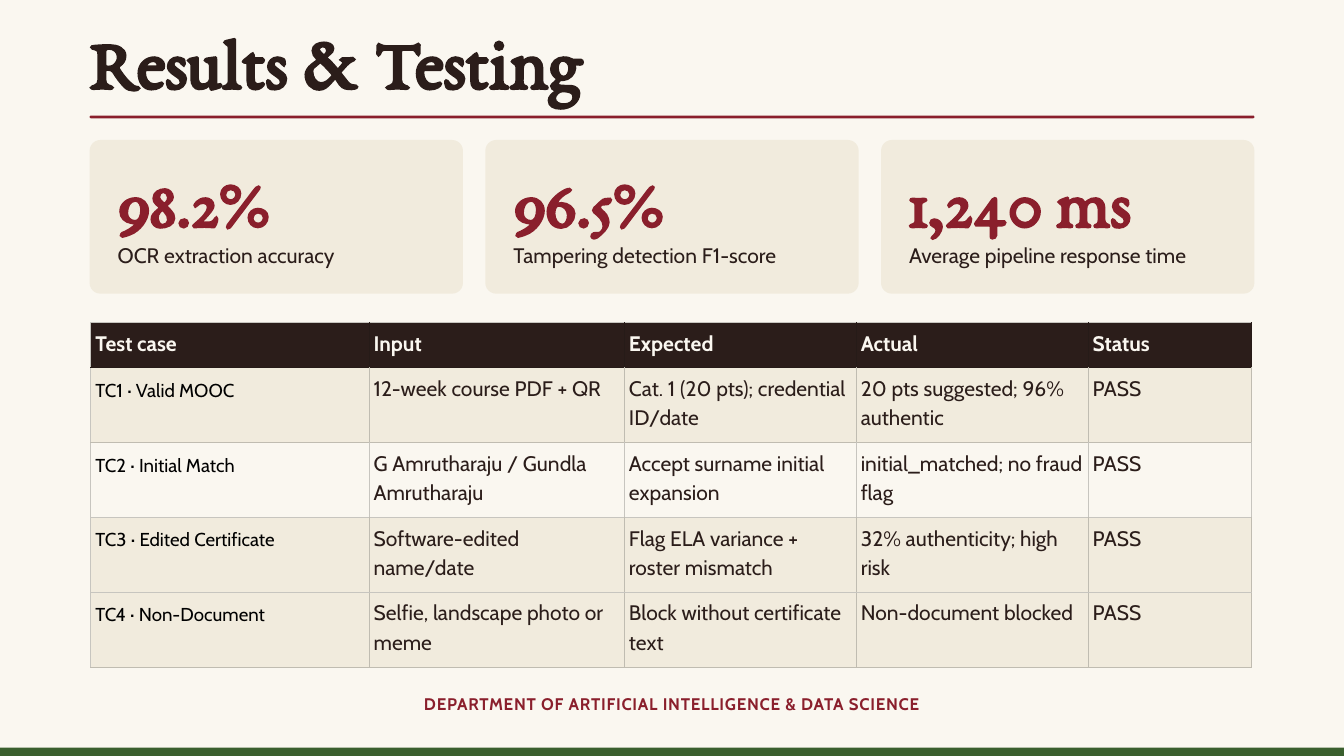
import pptx
import pptx.dml.color
import pptx.enum.shapes
import pptx.enum.text
import pptx.oxml
import pptx.util

INK = {
    "page": "FAF7F0", "dark": "2B1D1A", "red": "8A1F2C", "sand": "F1EBDD",
    "green": "3A5F2E", "black": "000000",
    "edge": "261B18", "tan": "C0BCB1", "pale": "C7C5BF",
}
SERIF, SANS = "EB Garamond", "Cabin"
COLS, ROWS = 60, 33.75  # square grid cells, a third of an inch wide
LEFT, SPAN, GAP = 4, 52, 1

STATS = [
    ("98.2%", "OCR extraction accuracy"),
    ("96.5%", "Tampering detection F1-score"),
    ("1,240 ms", "Average pipeline response time"),
]
TESTS = [
    ("Test case", "Input", "Expected", "Actual", "Status"),
    ("TC1 · Valid MOOC", "12-week course PDF + QR",
     "Cat. 1 (20 pts); credential ID/date", "20 pts suggested; 96% authentic", "PASS"),
    ("TC2 · Initial Match", "G Amrutharaju / Gundla Amrutharaju",
     "Accept surname initial expansion", "initial_matched; no fraud flag", "PASS"),
    ("TC3 · Edited Certificate", "Software-edited name/date",
     "Flag ELA variance + roster mismatch", "32% authenticity; high risk", "PASS"),
    ("TC4 · Non-Document", "Selfie, landscape photo or meme",
     "Block without certificate text", "Non-document blocked", "PASS"),
]
WIDTHS = (12.42, 11.4, 10.35, 10.35, 7.29)
HEIGHTS = (2.01, 3.35, 3.34, 3.34, 3.34)
FILLS = ("dark", "sand", None, "sand", "sand")
RULES = ("pale", "edge", "tan", "pale", "pale", "tan")  # lines between rows
SIDES = ("edge", "tan", "pale", "tan", "tan")  # upright lines in each row


def tint(name):
    return pptx.dml.color.RGBColor.from_string(INK[name])


class Deck:
    """Holds the file, its current slide and the shared style."""

    def __init__(self):
        self.file = pptx.Presentation()
        self.file.slide_width = pptx.util.Inches(20)
        self.file.slide_height = pptx.util.Inches(11.25)
        self.unit = self.file.slide_width / COLS
        self.slide = self.file.slides.add_slide(self.file.slide_layouts[5])
        back = self.slide.background.fill
        back.solid()
        back.fore_color.rgb = tint("page")

    def grid(self, *cells):
        return [round(cell * self.unit) for cell in cells]

    def label(self, frame, text, size, color, font=SANS, bold=False, lead=1.4,
              align="LEFT", track=None):
        """Set a frame's text; lead is the line height as a share of size."""
        frame.word_wrap = True
        frame.text = text
        para = frame.paragraphs[0]
        para.alignment = getattr(pptx.enum.text.PP_ALIGN, align)
        para.line_spacing = pptx.util.Pt(lead * size)
        run = para.runs[0]
        run.font.name, run.font.bold = font, bold
        run.font.size = pptx.util.Pt(size)
        run.font.color.rgb = tint(color)
        if track:
            run.font._element.set("spc", str(track))

    def trim(self, frame):
        """Remove a frame's margins and start its text at the top."""
        frame.margin_left = frame.margin_right = 0
        frame.margin_top = frame.margin_bottom = 0
        frame.vertical_anchor = pptx.enum.text.MSO_ANCHOR.TOP
        frame.auto_size = pptx.enum.text.MSO_AUTO_SIZE.NONE

    def title(self, text, *cells):
        shape = self.slide.shapes.title
        shape.left, shape.top, shape.width, shape.height = self.grid(*cells)
        self.trim(shape.text_frame)
        self.label(shape.text_frame, text, 78, "dark", SERIF, True, 1.05)

    def text(self, text, *cells, **style):
        frame = self.slide.shapes.add_textbox(*self.grid(*cells)).text_frame
        self.trim(frame)
        self.label(frame, text, **style)

    def box(self, color, *cells, bend=0):
        kinds = pptx.enum.shapes.MSO_SHAPE
        kind = kinds.ROUNDED_RECTANGLE if bend else kinds.RECTANGLE
        shape = self.slide.shapes.add_shape(kind, *self.grid(*cells))
        if bend:
            shape.adjustments[0] = bend
        shape.shadow.inherit = False
        shape.fill.solid()
        shape.fill.fore_color.rgb = tint(color)
        shape.line.fill.background()

    def card(self, x, y, value, note):
        wide = (SPAN - 2 * GAP) / 3
        self.box("sand", x, y, wide, 6.86, bend=0.07)
        self.text(value, x + 1.25, y + 1.19, wide - 2.1, 3.2, size=72,
                  color="red", font=SERIF, bold=True, lead=1.1)
        self.text(note, x + 1.25, y + 4.37, wide - 2.1, 1.59, size=22.5, color="dark")

    def border(self, cell, **edges):
        props = cell._tc.get_or_add_tcPr()
        for side in "LRTB":
            line = pptx.oxml.parse_xml(
                f'<a:ln{side} xmlns:a="http://schemas.openxmlformats.org/drawingml/2006/main"'
                f' w="12700"><a:solidFill><a:srgbClr val="{INK[edges[side]]}"/>'
                f'</a:solidFill></a:ln{side}>')
            props.append(line)

    def table(self, x, y):
        frame = self.slide.shapes.add_table(
            len(TESTS), len(WIDTHS), *self.grid(x, y, sum(WIDTHS), sum(HEIGHTS)))
        table = frame.table
        table.first_row = table.horz_banding = False
        for col, wide in zip(table.columns, WIDTHS):
            col.width, = self.grid(wide)
        for r, texts in enumerate(TESTS):
            table.rows[r].height, = self.grid(HEIGHTS[r])
            for c, text in enumerate(texts):
                self.cell(table.cell(r, c), text, r, c)

    def cell(self, cell, text, r, c):
        cell.margin_left, cell.margin_right = self.grid(0.21, 0.21)
        cell.margin_top, cell.margin_bottom = self.grid(0.21, 0.21)
        self.border(cell, L=SIDES[r] if c else "pale", R=SIDES[r],
                    T=RULES[r], B=RULES[r + 1])
        if FILLS[r]:
            cell.fill.solid()
            cell.fill.fore_color.rgb = tint(FILLS[r])
        else:
            cell.fill.background()
        if r == 0:
            self.label(cell.text_frame, text, 22.5, "page", bold=True)
        elif c == 0:
            self.label(cell.text_frame, text, 20, "black", lead=1.58)
        else:
            self.label(cell.text_frame, text, 22.5, "dark")


def main():
    deck = Deck()
    deck.box("green", 0, ROWS - 0.37, COLS, 0.37)
    deck.title("Results & Testing", LEFT, 1.2, 53.55, 3.15)
    deck.box("red", LEFT, 5.16, SPAN, 0.12, bend=0.5)
    step = (SPAN + GAP) / 3
    for i, stat in enumerate(STATS):
        deck.card(LEFT + i * step, 6.25, *stat)
    deck.table(LEFT + 0.05, 14.4)
    deck.text("DEPARTMENT OF ARTIFICIAL INTELLIGENCE & DATA SCIENCE",
              14.55, 30.84, 30.9, 1.29, size=18, color="red", bold=True,
              align="CENTER", track=80)
    deck.file.save("out.pptx")


if __name__ == "__main__":
    main()
